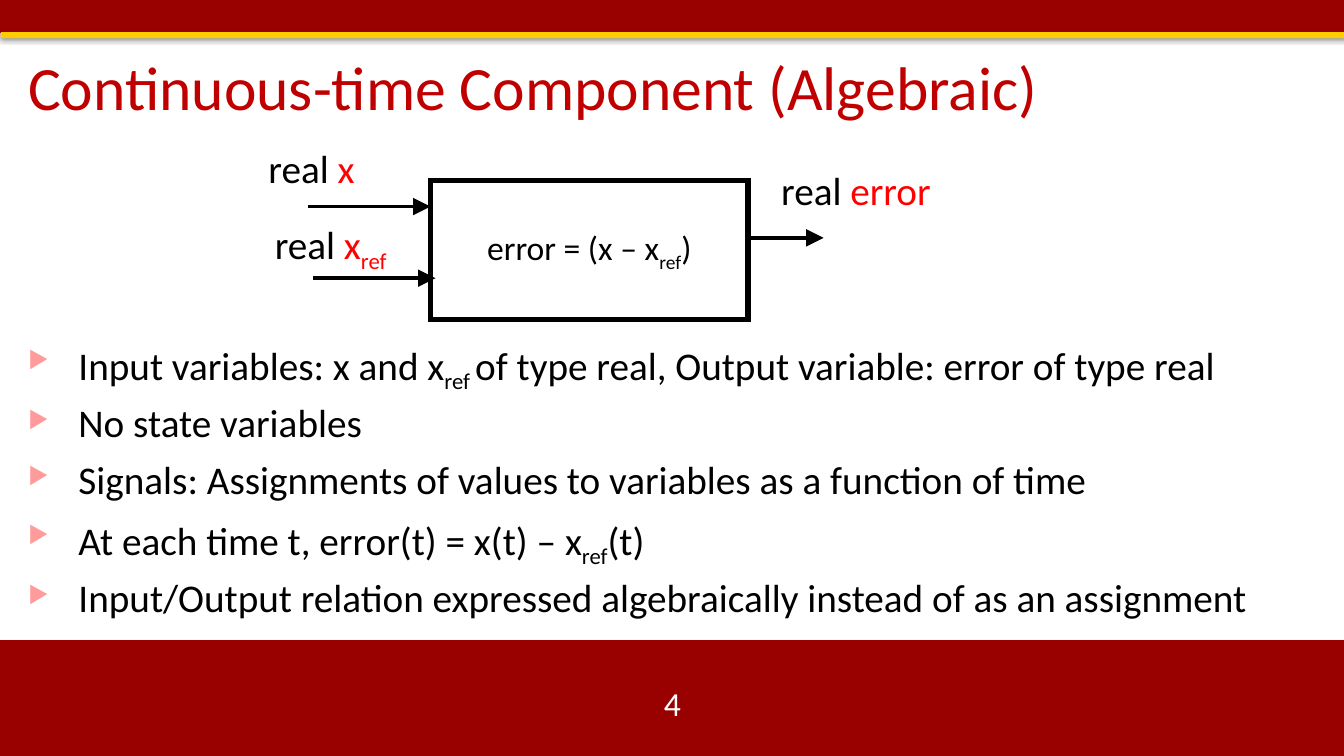
from dataclasses import dataclass

import pptx
import pptx.dml.color
import pptx.enum.shapes
import pptx.enum.text
import pptx.oxml
import pptx.oxml.ns
import pptx.shapes.base
import pptx.slide
import pptx.text.text
import pptx.util

Inches = pptx.util.Inches
Align = pptx.enum.text.PP_ALIGN
Anchor = pptx.enum.text.MSO_ANCHOR
NAMESPACE = pptx.oxml.ns.nsdecls("a")


@dataclass(frozen=True)
class Theme:
    font: str = "Calibri"
    black: str = "000000"
    white: str = "FFFFFF"
    cardinal: str = "990000"
    gold: str = "FFCC00"
    heading: str = "C00000"
    accent: str = "FF0000"
    bullet: str = "FF9B9B"
    title_size: float = 44
    body_size: float = 28
    box_size: float = 24


THEME = Theme()


@dataclass(frozen=True)
class Box:
    left: float
    top: float
    width: float
    height: float

    def lengths(self) -> tuple:
        return tuple(map(Inches, (self.left, self.top, self.width, self.height)))


@dataclass(frozen=True)
class Piece:
    text: str
    size: float = THEME.body_size
    color: str = THEME.black
    subscript: bool = False


@dataclass(frozen=True)
class Band:
    box: Box
    color: str
    shadow_opacity: int
    shadow_distance: float


@dataclass(frozen=True)
class Arrow:
    left: float
    right: float
    y: float


@dataclass(frozen=True)
class Label:
    box: Box
    pieces: tuple[Piece, ...]


REAL = Piece("real ")
ACCENT_X = Piece("x", color=THEME.accent)

BANDS = (
    Band(Box(0, 6.35, 13.33, 1.15), THEME.cardinal, 35, 1.8),
    Band(Box(0, 0, 13.33, 0.33), THEME.cardinal, 35, 1.8),
    Band(Box(0.01, 0.32, 13.33, 0.06), THEME.gold, 38, 1.6),
)
ARROWS = (Arrow(7.45, 8.17, 2.36), Arrow(3.05, 4.27, 2.05), Arrow(3.1, 4.32, 2.76))
LABELS = (
    Label(Box(2.56, 1.38, 1.06, 0.57), (REAL, ACCENT_X)),
    Label(Box(2.6, 2.14, 1.36, 0.57), (REAL, ACCENT_X, Piece("ref", color=THEME.accent, subscript=True))),
    Label(Box(7.64, 1.6, 1.7, 0.57), (REAL, Piece("error", color=THEME.accent))),
)
EQUATION = (
    Piece("error = (x – x", THEME.box_size),
    Piece("ref", THEME.box_size, subscript=True),
    Piece(")", THEME.box_size),
)
BULLETS = (
    (
        Piece("Input variables: x and x"),
        Piece("ref ", subscript=True),
        Piece("of type real, Output variable: error of type real"),
    ),
    (Piece("No state variables"),),
    (Piece("Signals: Assignments of values to variables as a function of time"),),
    (Piece("At each time t, error(t) = x(t) – x"), Piece("ref", subscript=True), Piece("(t)")),
    (Piece("Input/Output relation expressed algebraically instead of as an assignment"),),
)


def rgb(color: str) -> pptx.dml.color.RGBColor:
    return pptx.dml.color.RGBColor.from_string(color)


def write_lines(
    text_frame: pptx.text.text.TextFrame,
    lines: tuple[tuple[Piece, ...], ...],
    align: Align = Align.LEFT,
    anchor: Anchor = Anchor.TOP,
    wrap: bool = True,
) -> None:
    text_frame.word_wrap = wrap
    text_frame.vertical_anchor = anchor
    text_frame.text = "\n".join("" for _ in lines)
    for paragraph, pieces in zip(text_frame.paragraphs, lines):
        paragraph.alignment = align
        for piece in pieces:
            run = paragraph.add_run()
            run.text = piece.text
            run.font.name = THEME.font
            run.font.size = pptx.util.Pt(piece.size)
            run.font.color.rgb = rgb(piece.color)
            if piece.subscript:
                run._r.get_or_add_rPr().set("baseline", "-25000")


def add_text(slide: pptx.slide.Slide, box: Box, *lines: tuple[Piece, ...], **layout) -> pptx.text.text.TextFrame:
    text_frame = slide.shapes.add_textbox(*box.lengths()).text_frame
    write_lines(text_frame, lines, **layout)
    return text_frame


def add_rectangle(slide: pptx.slide.Slide, box: Box) -> pptx.shapes.base.BaseShape:
    shape = slide.shapes.add_shape(pptx.enum.shapes.MSO_SHAPE.RECTANGLE, *box.lengths())
    shape.shadow.inherit = False
    return shape


def add_band(slide: pptx.slide.Slide, band: Band) -> None:
    shape = add_rectangle(slide, band.box)
    shape.fill.solid()
    shape.fill.fore_color.rgb = rgb(band.color)
    shape.line.fill.background()
    effects = shape._element.spPr.find(pptx.oxml.ns.qn("a:effectLst"))
    effects.append(pptx.oxml.parse_xml(
        f'<a:outerShdw {NAMESPACE} blurRad="{pptx.util.Pt(3.1)}" '
        f'dist="{pptx.util.Pt(band.shadow_distance)}" dir="5400000" rotWithShape="0">'
        f'<a:srgbClr val="{THEME.black}"><a:alpha val="{band.shadow_opacity * 1000}"/>'
        f'</a:srgbClr></a:outerShdw>'
    ))


def add_component(slide: pptx.slide.Slide) -> None:
    component = add_rectangle(slide, Box(4.27, 1.79, 3.15, 1.38))
    component.fill.background()
    component.line.color.rgb = rgb(THEME.black)
    component.line.width = pptx.util.Pt(4)
    component.line._get_or_add_ln().append(pptx.oxml.parse_xml(f'<a:miter {NAMESPACE} lim="800000"/>'))
    write_lines(component.text_frame, (EQUATION,), Align.CENTER, Anchor.MIDDLE)


def add_arrow(slide: pptx.slide.Slide, arrow: Arrow) -> None:
    connector = slide.shapes.add_connector(
        pptx.enum.shapes.MSO_CONNECTOR.STRAIGHT,
        Inches(arrow.left), Inches(arrow.y), Inches(arrow.right), Inches(arrow.y),
    )
    connector.line.color.rgb = rgb(THEME.black)
    connector.line.width = pptx.util.Pt(2.5)
    connector.line._get_or_add_ln().append(
        pptx.oxml.parse_xml(f'<a:tailEnd {NAMESPACE} type="triangle" w="lg" len="lg"/>')
    )
    connector._element.spPr.append(pptx.oxml.parse_xml(f"<a:effectLst {NAMESPACE}/>"))


def add_bullets(slide: pptx.slide.Slide) -> None:
    text_frame = add_text(slide, Box(0.18, 3.34, 12.79, 2.88), *BULLETS)
    for index, paragraph in enumerate(text_frame.paragraphs):
        paragraph.line_spacing = 0.9
        paragraph.space_before = pptx.util.Pt(10 if index else 0)
        properties = paragraph._p.get_or_add_pPr()
        properties.set("marL", str(Inches(0.5)))
        properties.set("indent", str(Inches(-0.5)))
        for element in (
            f'<a:buClr {NAMESPACE}><a:srgbClr val="{THEME.bullet}"/></a:buClr>',
            f'<a:buSzPct {NAMESPACE} val="60000"/>',
            f'<a:buChar {NAMESPACE} char="▶"/>',
        ):
            properties.append(pptx.oxml.parse_xml(element))


def main() -> None:
    presentation = pptx.Presentation()
    presentation.slide_width, presentation.slide_height = Inches(13.33), Inches(7.5)
    slide = presentation.slides.add_slide(presentation.slide_layouts[6])
    for band in BANDS:
        add_band(slide, band)
    title = Piece("Continuous-time Component (Algebraic)", THEME.title_size, THEME.heading)
    heading = add_text(slide, Box(0.18, 0.47, 11.94, 0.85), (title,), anchor=Anchor.MIDDLE)
    heading.paragraphs[0].line_spacing = 0.9
    number = Piece("4", THEME.box_size, THEME.white)
    add_text(slide, Box(5.17, 6.78, 3, 0.4), (number,), align=Align.CENTER, anchor=Anchor.MIDDLE)
    add_component(slide)
    for arrow in ARROWS:
        add_arrow(slide, arrow)
    for label in LABELS:
        add_text(slide, label.box, label.pieces, align=Align.CENTER, wrap=False)
    add_bullets(slide)
    presentation.save("out.pptx")


if __name__ == "__main__":
    main()
